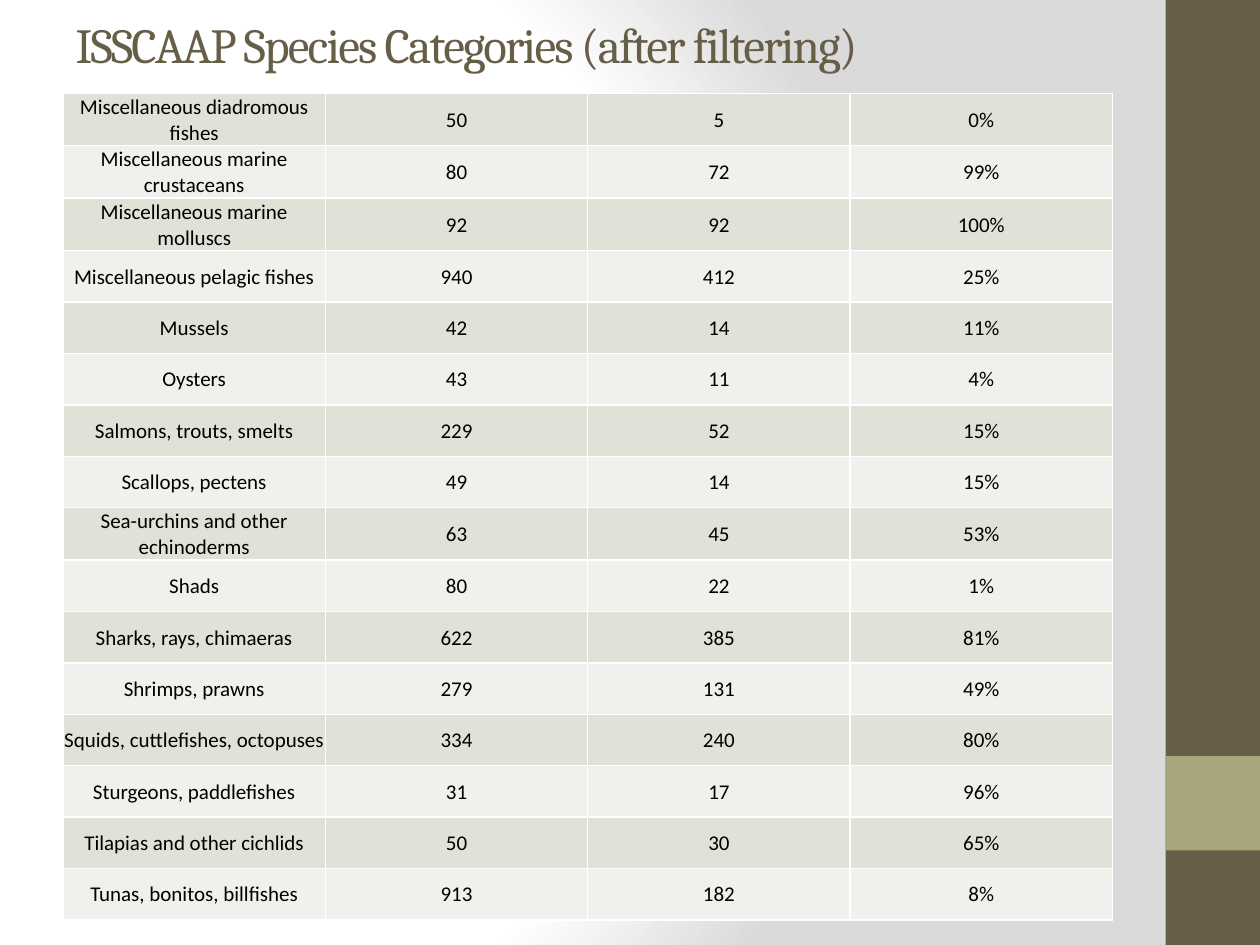
from dataclasses import dataclass
from lxml import etree
from pptx import Presentation
from pptx.dml.color import RGBColor
from pptx.enum.shapes import MSO_SHAPE
from pptx.enum.text import MSO_ANCHOR as Anchor, PP_ALIGN as Align
from pptx.oxml import parse_xml
from pptx.oxml.ns import nsdecls, qn
from pptx.util import Inches, Pt

# Content
TITLE = "ISSCAAP Species Categories (after filtering)"
ROWS = [
    ("Miscellaneous diadromous fishes", "50", "5", "0%"),
    ("Miscellaneous marine crustaceans", "80", "72", "99%"),
    ("Miscellaneous marine molluscs", "92", "92", "100%"),
    ("Miscellaneous pelagic fishes", "940", "412", "25%"),
    ("Mussels", "42", "14", "11%"),
    ("Oysters", "43", "11", "4%"),
    ("Salmons, trouts, smelts", "229", "52", "15%"),
    ("Scallops, pectens", "49", "14", "15%"),
    ("Sea-urchins and other echinoderms", "63", "45", "53%"),
    ("Shads", "80", "22", "1%"),
    ("Sharks, rays, chimaeras", "622", "385", "81%"),
    ("Shrimps, prawns", "279", "131", "49%"),
    ("Squids, cuttlefishes, octopuses", "334", "240", "80%"),
    ("Sturgeons, paddlefishes", "31", "17", "96%"),
    ("Tilapias and other cichlids", "50", "30", "65%"),
    ("Tunas, bonitos, billfishes", "913", "182", "8%"),
]


@dataclass(frozen=True)
class Theme:
    dark: str = "675E47"
    accent: str = "A9A57C"
    bands: tuple = ("E2E1D7", "F1F0EC")
    ink: str = "000000"
    rule: str = "FFFFFF"
    glow: tuple = ((0, "FFFFFF"), (75, "FFFFFF"), (100, "DADADA"))
    head: tuple = ("Cambria", 28)
    body: tuple = ("Calibri", 12)


THEME = Theme()
LEFT, WIDTH = 0.5, 8.33


def style(para, face, color):
    para.font.name, para.font.size = face[0], Pt(face[1])
    para.font.color.rgb = RGBColor.from_string(color)


def add_bar(slide, top, height, color):
    bar = slide.shapes.add_shape(MSO_SHAPE.RECTANGLE, Inches(9.25), Inches(top),
                                 Inches(0.75), Inches(height))
    bar.shadow.inherit = False
    bar.fill.solid()
    bar.fill.fore_color.rgb = RGBColor.from_string(color)
    bar.line.fill.background()


def add_rules(cell):
    props = cell._tc.get_or_add_tcPr()
    for spot, side in enumerate(("lnL", "lnR", "lnT", "lnB")):
        props.insert(spot, parse_xml(
            f'<a:{side} {nsdecls("a")} w="{Pt(1)}"><a:solidFill>'
            f'<a:srgbClr val="{THEME.rule}"/></a:solidFill></a:{side}>'))


def fill_cell(cell, text, band):
    cell.text = text
    cell.vertical_anchor = Anchor.MIDDLE
    cell.margin_left = cell.margin_right = cell.margin_top = Inches(0.01)
    cell.margin_bottom = 0
    cell.fill.solid()
    cell.fill.fore_color.rgb = RGBColor.from_string(band)
    para = cell.text_frame.paragraphs[0]
    para.alignment = Align.CENTER
    style(para, THEME.body, THEME.ink)
    add_rules(cell)


deck = Presentation()
deck.slide_width, deck.slide_height = Inches(10), Inches(7.5)
slide = deck.slides.add_slide(deck.slide_layouts[5])

# Background glow
stops = "".join(f'<a:gs pos="{pos * 1000}"><a:srgbClr val="{color}"/></a:gs>'
                for pos, color in THEME.glow)
slide.background.fill.solid()
back = slide.element.cSld.find(qn("p:bg")).find(qn("p:bgPr"))
back.replace(back[0], parse_xml(
    f'<a:gradFill {nsdecls("a")} rotWithShape="1"><a:gsLst>{stops}</a:gsLst>'
    '<a:path path="circle"><a:fillToRect l="20000" t="50000" r="100000" b="50000"/>'
    '</a:path></a:gradFill>'))

# Side bars
add_bar(slide, 0, 7.5, THEME.dark)
add_bar(slide, 6, 0.75, THEME.accent)

# Species table
grid = slide.shapes.add_table(len(ROWS), len(ROWS[0]), Inches(LEFT), Inches(0.74),
                              Inches(WIDTH), Inches(6.53)).table
grid.first_row = False
for r, row in enumerate(ROWS):
    for c, text in enumerate(row):
        fill_cell(grid.cell(r, c), text, THEME.bands[r % 2])

# Title
title = slide.shapes.title
title.left, title.top = Inches(LEFT), Inches(0.03)
title.width, title.height = Inches(WIDTH), Inches(0.64)
frame = title.text_frame
frame.text = TITLE
frame.vertical_anchor = Anchor.MIDDLE
para = frame.paragraphs[0]
para.alignment = Align.LEFT
style(para, THEME.head, THEME.dark)
para.runs[0].font._element.set("spc", "-100")

deck.save("out.pptx")
